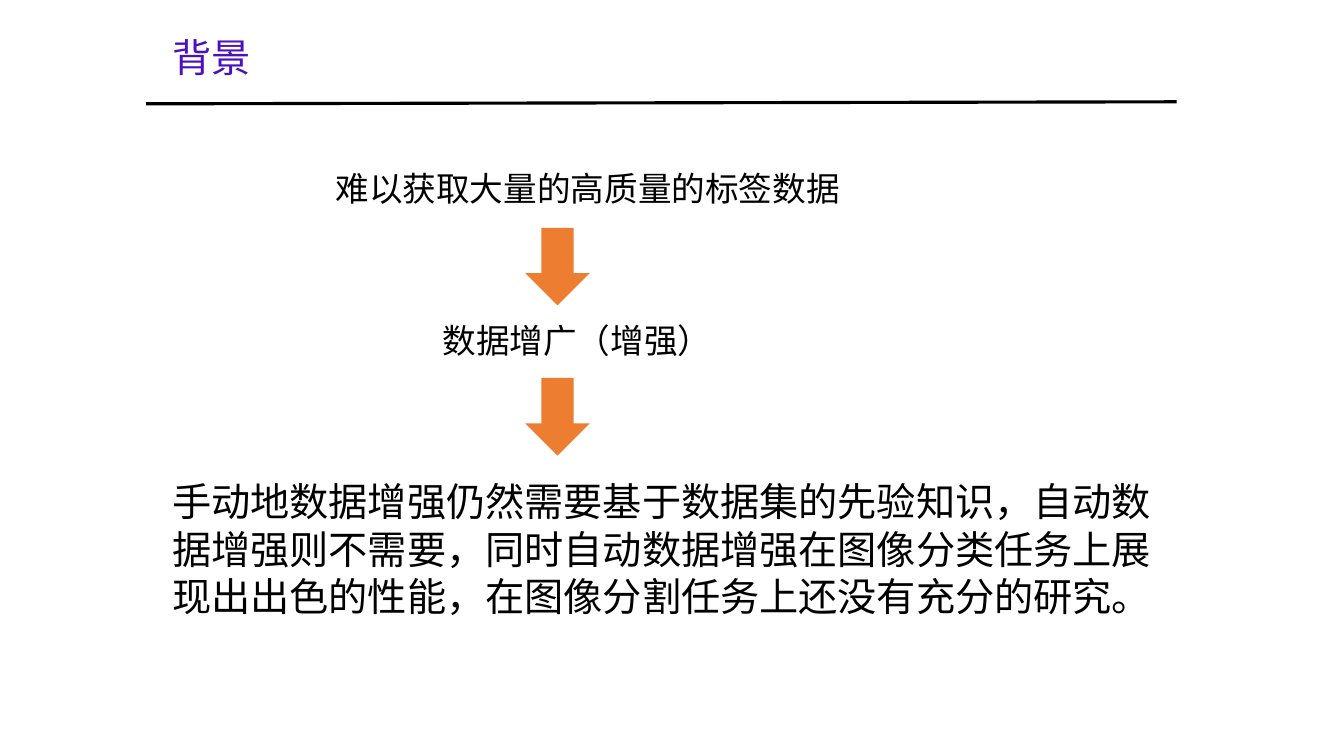
from dataclasses import dataclass

from pptx import Presentation
from pptx.dml.color import RGBColor
from pptx.enum.shapes import MSO_CONNECTOR as Connector, MSO_SHAPE as Shape
from pptx.enum.text import MSO_AUTO_SIZE as AutoSize
from pptx.oxml.ns import qn
from pptx.slide import Slide
from pptx.util import Inches, Pt


@dataclass(frozen=True)
class Theme:
    """Colours, fonts and sizes of the slide."""
    ink: RGBColor = RGBColor(0x00, 0x00, 0x00)
    title: RGBColor = RGBColor(0x4B, 0x11, 0xBF)
    arrow: RGBColor = RGBColor(0xED, 0x7D, 0x31)
    latin: str = "Roboto"
    chinese: str = "Noto Sans CJK SC"
    large: Pt = Pt(28)
    medium: Pt = Pt(24)
    rule: Pt = Pt(2.25)


@dataclass(frozen=True)
class Label:
    """A text box with its place and format values."""
    text: str
    left: float
    top: float
    width: float
    height: float
    font: dict


THEME = Theme()
STEP = {"size": THEME.medium, "name": THEME.latin, "color": THEME.ink}
HEADING = {"size": THEME.large, "name": THEME.latin, "color": THEME.title}
BODY = {"size": THEME.large, "name": THEME.chinese, "color": THEME.ink}

LABELS = [
    Label("背景", 1.61, 0.28, 7.32, 0.57, HEADING),
    Label("难以获取大量的高质量的标签数据", 3.23, 1.62, 5.23, 0.5, STEP),
    Label("数据增广（增强）", 4.29, 3.12, 2.95, 0.5, STEP),
    Label("手动地数据增强仍然需要基于数据集的先验知识，自动数据增强则不需要，"
          "同时自动数据增强在图像分类任务上展现出出色的性能，"
          "在图像分割任务上还没有充分的研究。", 1.61, 4.69, 9.99, 1.82, BODY),
]
ARROW_TOPS = [2.26, 3.75]


def draw_rule(page: Slide) -> None:
    """Draw the line below the heading."""
    rule = page.shapes.add_connector(
        Connector.STRAIGHT, Inches(1.45), Inches(1.03), Inches(11.67), Inches(1.01))
    rule.line.color.rgb = THEME.ink
    rule.line.width = THEME.rule
    properties = rule._element.spPr
    properties.append(properties.makeelement(qn("a:effectLst"), {}))


def draw_label(page: Slide, label: Label) -> None:
    """Draw one text box."""
    box = page.shapes.add_textbox(
        Inches(label.left), Inches(label.top), Inches(label.width), Inches(label.height))
    frame = box.text_frame
    frame.word_wrap = True
    frame.auto_size = AutoSize.SHAPE_TO_FIT_TEXT
    span = frame.paragraphs[0].add_run()
    span.text = label.text
    for key, value in label.font.items():
        if key == "color":
            span.font.color.rgb = value
        else:
            setattr(span.font, key, value)
    properties = span.font._element
    east_asian = properties.makeelement(qn("a:ea"), {"typeface": THEME.chinese})
    properties.find(qn("a:latin")).addnext(east_asian)


def draw_arrow(page: Slide, top: float) -> None:
    """Draw one arrow between two steps."""
    arrow = page.shapes.add_shape(
        Shape.DOWN_ARROW, Inches(5.21), Inches(top), Inches(0.64), Inches(0.77))
    arrow.shadow.inherit = False
    arrow.fill.solid()
    arrow.fill.fore_color.rgb = THEME.arrow
    arrow.line.fill.background()


def main() -> None:
    """Build and save the slide."""
    deck = Presentation()
    deck.slide_width, deck.slide_height = Inches(13.33), Inches(7.5)
    page = deck.slides.add_slide(deck.slide_layouts[6])
    draw_rule(page)
    for label in LABELS:
        draw_label(page, label)
    for top in ARROW_TOPS:
        draw_arrow(page, top)
    deck.save("out.pptx")


if __name__ == "__main__":
    main()
